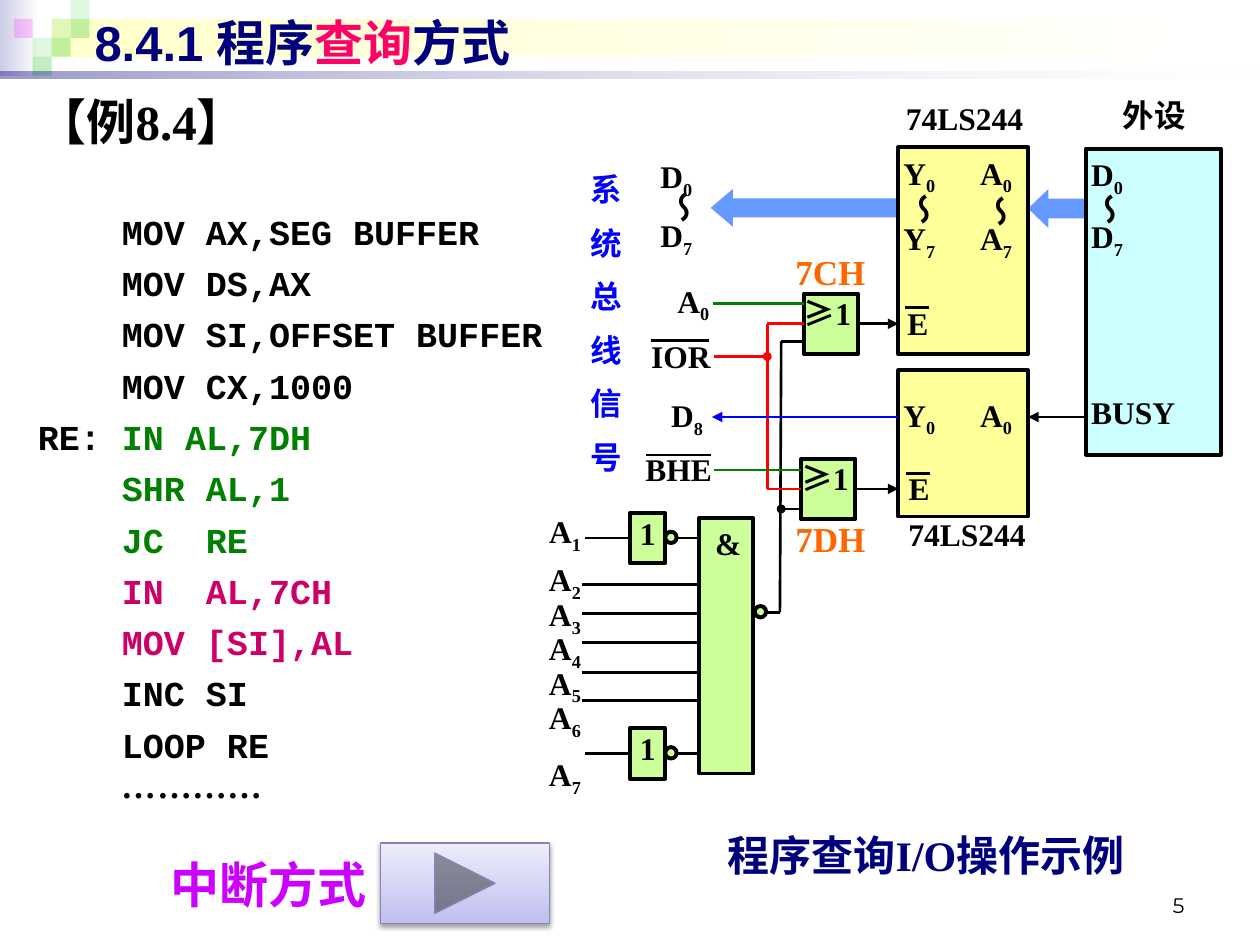
from lxml.etree import SubElement
from pptx import Presentation
from pptx.dml.color import RGBColor
from pptx.enum.shapes import MSO_CONNECTOR, MSO_SHAPE
from pptx.enum.text import MSO_ANCHOR, MSO_AUTO_SIZE, PP_ALIGN
from pptx.oxml.ns import qn
from pptx.util import Inches, Pt

BLACK, NAVY, GREEN, RED, BLUE = "000000", "00007D", "008000", "FF0000", "0000FF"
LIME, YELLOW, PINK = "CCFF99", "FFFF99", "CC0066"
LEFT, CENTER, RIGHT = PP_ALIGN.LEFT, PP_ALIGN.CENTER, PP_ALIGN.RIGHT
MIDDLE = MSO_ANCHOR.MIDDLE
SERIF, CJK = "Times New Roman", "Noto Sans CJK SC"
RECT, DOT = MSO_SHAPE.RECTANGLE, MSO_SHAPE.FLOWCHART_CONNECTOR

deck = Presentation()
deck.slide_width, deck.slide_height = Inches(10), Inches(7.5)
page = deck.slides.add_slide(deck.slide_layouts[1])
shapes = page.shapes


def add_box(kind, at, fill=None, line=None, width=2.25, alphas=()):
    """Add a shape; a list of two fill colours makes a left-to-right gradient."""
    box = shapes.add_shape(kind, *map(Inches, at))
    box.shadow.inherit = False
    if isinstance(fill, list):
        box.fill.gradient()
        box.fill.gradient_angle = 0
        for stop, shade in zip(box.fill.gradient_stops, fill):
            stop.color.rgb = RGBColor.from_string(shade)
    else:
        box.fill.solid()
        box.fill.fore_color.rgb = RGBColor.from_string(fill)
    for shade, alpha in zip(box._element.spPr.iter(qn("a:srgbClr")), alphas):
        SubElement(shade, qn("a:alpha")).set("val", str(alpha * 1000))
    if line:
        box.line.color.rgb = RGBColor.from_string(line)
        box.line.width = Pt(width)
    else:
        box.line.fill.background()
    return box


def write(box, lines, size=18, color=BLACK, font=SERIF, align=LEFT, before=9, spacing=None,
          anchor=MSO_ANCHOR.TOP, margins=(0, 0, 0, 0), wrap=True, bold=True):
    """Fill a box; a line is a string or (text, colour) pairs, and _ lowers the next character."""
    frame = box.text_frame
    settings = {"word_wrap": wrap, "vertical_anchor": anchor, "auto_size": MSO_AUTO_SIZE.NONE}
    sides = ("margin_left", "margin_top", "margin_right", "margin_bottom")
    settings.update(zip(sides, map(Inches, margins)))
    for name, value in settings.items():
        setattr(frame, name, value)
    for row, line in enumerate(lines):
        para = frame.paragraphs[0] if row == 0 else frame.add_paragraph()
        para.alignment, para.line_spacing = align, spacing
        para.space_before = Pt(before if row else 0)
        for text, shade in [(line, color)] if isinstance(line, str) else line:
            first, *rest = text.split("_")
            pieces = [(first, False)]
            for piece in rest:
                pieces += [(piece[0], True), (piece[1:], False)]
            for piece, lowered in pieces:
                if not piece:
                    continue
                span = para.add_run()
                span.text = piece
                for name, value in {"size": Pt(size), "bold": bold, "name": font}.items():
                    setattr(span.font, name, value)
                span.font.color.rgb = RGBColor.from_string(shade)
                if lowered:
                    span.font._element.set("baseline", "-25000")
    return frame.paragraphs


# Header decoration
add_box(RECT, (0, 0, 0.31, 0.6), ["CCCCE6", "FFFFFF"])
add_box(RECT, (0.41, 0.15, 9.55, 0.3), ["FFFFCC", "FFFFFF"])
for column, row, shade, alpha in [(2, 1, "33CC33", 15), (3, 0, "33CC33", 15), (3, 1, "33CC33", 30),
                                  (1, 2, "33CC33", 15), (0, 1, "FF00FF", 20), (2, 2, "33CC33", 30),
                                  (1, 3, "33CC33", 30)]:
    add_box(RECT, (0.11 + 0.15 * column, 0.15 * row, 0.15, 0.15), shade, alphas=[alpha])
add_box(RECT, (0, 0.57, 10, 0.05), [NAVY, "FFFFFF"], alphas=[40, 10])

# Title and program listing
title, body = shapes.title, page.placeholders[1]
for holder, at in [(title, (0.65, 0.05, 9, 0.57)), (body, (0.2, 0.68, 4.57, 6.14))]:
    holder.left, holder.top, holder.width, holder.height = map(Inches, at)
    shapes._spTree.append(holder._element)
write(title, [[("8.4.1 程序", NAVY), ("查询", "FF0066"), ("方式", NAVY)]], 28, font="Arial",
      anchor=MIDDLE, margins=(0.1, 0.05, 0.1, 0.05))
listing = write(body, [
    "【例8.4】",
    "    MOV AX,SEG BUFFER",
    "    MOV DS,AX",
    "    MOV SI,OFFSET BUFFER",
    "    MOV CX,1000",
    [("RE: ", BLACK), ("IN AL,7DH", GREEN)],
    [("    SHR AL,1", GREEN)],
    [("    JC  RE", GREEN)],
    [("    IN  AL,7CH", PINK)],
    [("    MOV [SI],AL", PINK)],
    "    INC SI",
    "    LOOP RE",
    [("    ", BLACK), ("…………", BLACK)],
], 20, font="Courier New", before=5.3, margins=(0.1, 0.05, 0.1, 0.05))
for para in listing:
    properties = para._p.get_or_add_pPr()
    properties.set("marL", "0")
    properties.set("indent", "0")
    SubElement(properties, qn("a:buNone"))
heading = listing[0].runs[0].font
heading.size, heading.name = Pt(28), SERIF
listing[1].space_before = Pt(34)
listing[-1].runs[1].font.name = CJK

# Caption, button and page number
write(add_box(RECT, (4.82, 6.58, 5.06, 0.4), "FFFFFF"), ["程序查询I/O操作示例"], 24, NAVY, align=CENTER)
button = add_box(MSO_SHAPE.ACTION_BUTTON_FORWARD_OR_NEXT, (3.02, 6.69, 1.34, 0.64),
                 ["BFBFF0", "EDEDFB"], "8686B6", 0.75)
button.fill.gradient_angle = 90
effects = button._element.spPr.find(qn("a:effectLst"))
shadow = SubElement(effects, qn("a:outerShdw"), blurRad=str(Pt(3.1)), dist=str(Pt(1.6)),
                    dir="5400000", rotWithShape="0")
shade = SubElement(shadow, qn("a:srgbClr"), val=BLACK)
SubElement(shade, qn("a:alpha"), val="38000")

# Bus arrows
for at, adjustments in [((8.16, 1.5, 0.46, 0.31), (0.5, 0.52)), ((5.64, 1.5, 1.48, 0.3), (0.5, 0.59))]:
    arrow = add_box(MSO_SHAPE.LEFT_ARROW, at, "6699FF")
    arrow.adjustments[0], arrow.adjustments[1] = adjustments

# Device, buffers and gates
device = add_box(RECT, (8.62, 1.18, 1.07, 2.43), "CCFFFF", BLACK)
pins = write(device, ["D_0", "D_7", "BUSY"], before=10.8, margins=(0.04, 0.05, 0.04, 0.05))
pins[2].space_before = Pt(76)
for top, height, lines, margin in [(2.94, 1.16, ["Y_0\tA_0"], 0.2),
                                   (1.17, 1.64, ["Y_0\tA_0", "Y_7\tA_7"], 0.05)]:
    buffer = add_box(RECT, (7.13, top, 1.03, height), YELLOW, BLACK)
    for para in write(buffer, lines, before=12.6, margins=(0.04, margin, 0.01, 0.01)):
        tabs = SubElement(para._p.get_or_add_pPr(), qn("a:tabLst"))
        SubElement(tabs, qn("a:tab"), pos=str(Inches(0.61)), algn="l")
nand = add_box(RECT, (5.55, 4.11, 0.43, 2.03), LIME, BLACK)
write(nand, ["&"], align=CENTER, margins=(0.04, 0.05, 0.01, 0.01))
or_gates, inverters = [], []
for left, top in [(6.38, 2.33), (6.36, 3.64)]:
    gate = add_box(RECT, (left, top, 0.43, 0.48), LIME, BLACK)
    sign = write(gate, [[("≥", BLACK), ("1", BLACK)]])[0].runs[0]
    sign.font.name = CJK
    SubElement(sign.font._element, qn("a:ea"), typeface=CJK)
    or_gates.append(gate)
for top in (4.07, 5.78):
    gate = add_box(RECT, (5, top, 0.28, 0.4), LIME, BLACK)
    write(gate, ["1"], align=CENTER, spacing=0.64, anchor=MIDDLE)
    inverters.append(gate)

# Wires: start, end, colour, arrowhead, gate and side joined at the start
wires = [
    ((6.19, 4.86), (6.2, 2.71), BLACK), ((8.61, 3.31), (8.16, 3.31), BLACK, True),
    ((6.09, 2.57), (6.09, 3.88), RED), ((6.09, 2.83), (5.67, 2.83), RED),
    ((6.38, 2.41), (5.66, 2.41), GREEN), ((6.38, 2.57), (6.09, 2.57), RED, False, or_gates[0], 1),
    ((6.81, 2.57), (7.13, 2.57), BLACK, True, or_gates[0], 3), ((6.37, 2.71), (6.2, 2.71), BLACK),
    ((7.13, 3.31), (5.65, 3.31), BLUE, True), ((6.36, 3.73), (5.67, 3.73), GREEN),
    ((6.36, 3.88), (6.09, 3.88), RED, False, or_gates[1], 1), ((6.36, 4.04), (6.19, 4.04), BLACK),
    ((6.79, 3.88), (7.13, 3.88), BLACK, True, or_gates[1], 3), ((6.19, 4.86), (6.08, 4.86), BLACK),
    ((5.63, 2.7), (5.17, 2.7), BLACK), ((5.64, 3.61), (5.13, 3.61), BLACK),
    ((7.38, 3.76), (7.19, 3.76), BLACK), ((7.37, 2.44), (7.18, 2.44), BLACK),
]
wires += [((5.55, y), (4.62, y), BLACK) for y in (4.64, 4.87, 5.1, 5.34, 5.56)]
for y, inverter in zip((4.27, 5.98), inverters):
    wires += [((5.55, y), (5.37, y), BLACK), ((5, y), (4.64, y), BLACK, False, inverter, 1)]
for start, end, color, *options in wires:
    wire = shapes.add_connector(MSO_CONNECTOR.STRAIGHT, *map(Inches, start + end))
    wire.line.color.rgb = RGBColor.from_string(color)
    wire.line.width = Pt(1.5)
    if options and options[0]:
        SubElement(wire.line._get_or_add_ln(), qn("a:tailEnd"), type="triangle")
    SubElement(wire._element.spPr, qn("a:effectLst"))
    if len(options) > 1:
        wire.begin_connect(*options[1:])

# Junctions and inverting bubbles
for left, top, color in [(6.17, 4.01, BLACK), (6.06, 2.8, RED)]:
    add_box(DOT, (left, top, 0.06, 0.06), color, color, 0.75)
for left, top in [(5.28, 4.22), (5.28, 5.93), (5.99, 4.81)]:
    add_box(DOT, (left, top, 0.09, 0.09), LIME, BLACK)

# Labels
middle_right = {"align": RIGHT, "anchor": MIDDLE}
orange = {"size": 20, "color": "FF6600", "align": CENTER, "margins": (0.1, 0.05, 0.1, 0.05)}
for at, lines, formats in [
    ((7.17, 6.83, 2.33, 0.5), ["5"], {"size": 12, "font": "Montserrat", "align": RIGHT, "bold": False,
                                      "anchor": MSO_ANCHOR.BOTTOM, "margins": (0.1, 0.05, 0.1, 0.05)}),
    ((1.24, 6.73, 1.78, 0.57), ["中断方式"], {"size": 28, "color": "CC00FF", "align": CENTER, "wrap": False,
                                          "margins": (0.1, 0.05, 0.1, 0.05)}),
    ((8.91, 0.76, 0.5, 0.3), ["外设"], {"align": CENTER, "wrap": False}),
    ((4.69, 1.35, 0.25, 2.56), list("系统总线信号"), {"color": BLUE, "align": CENTER}),
    ((5.24, 1.25, 0.31, 0.86), ["D_0", "D_7"], {"wrap": False}),
    ((5.2, 3.14, 0.38, 0.32), ["D_8"], {"align": RIGHT}),
    ((5.09, 2.24, 0.54, 0.33), ["A_0"], middle_right),
    ((5.1, 2.67, 0.54, 0.31), ["IOR"], middle_right),
    ((5.11, 3.56, 0.54, 0.33), ["BHE"], middle_right),
    ((7.19, 4.11, 0.95, 0.31), ["74LS244"], {**middle_right, "spacing": 0.8}),
    ((7.17, 0.84, 0.95, 0.31), ["74LS244"], {"align": RIGHT, "spacing": 0.8}),
    ((7.08, 3.71, 0.43, 0.33), ["E"], {"align": CENTER, "anchor": MIDDLE}),
    ((7.07, 2.4, 0.43, 0.33), ["E"], {"align": CENTER, "anchor": MIDDLE}),
    ((6, 1.94, 1.18, 0.43), ["7CH"], orange),
    ((6, 4.06, 1.18, 0.43), ["7DH"], orange),
    ((4.24, 4.05, 0.47, 0.34), ["A_1"], {"align": RIGHT, "spacing": 0.8, "wrap": False,
                                         "margins": (0.1, 0.05, 0.1, 0.05)}),
    ((4.19, 4.48, 0.42, 1.72), [f"A_{bit}" for bit in range(2, 8)],
     {"align": RIGHT, "spacing": 0.8, "before": 0}),
]:
    label = write(shapes.add_textbox(*map(Inches, at)), lines, **formats)
label[-1].space_before = Pt(13)
for left, top in [(8.65, 1.54), (5.27, 1.52), (7.79, 1.55), (7.18, 1.54)]:
    tilde = shapes.add_textbox(*map(Inches, (left, top, 0.32, 0.25)))
    write(tilde, ["～"], margins=(0, 0, 0.02, 0), wrap=False)
    tilde.text_frame._txBody.bodyPr.set("vert", "eaVert")

deck.save("out.pptx")
